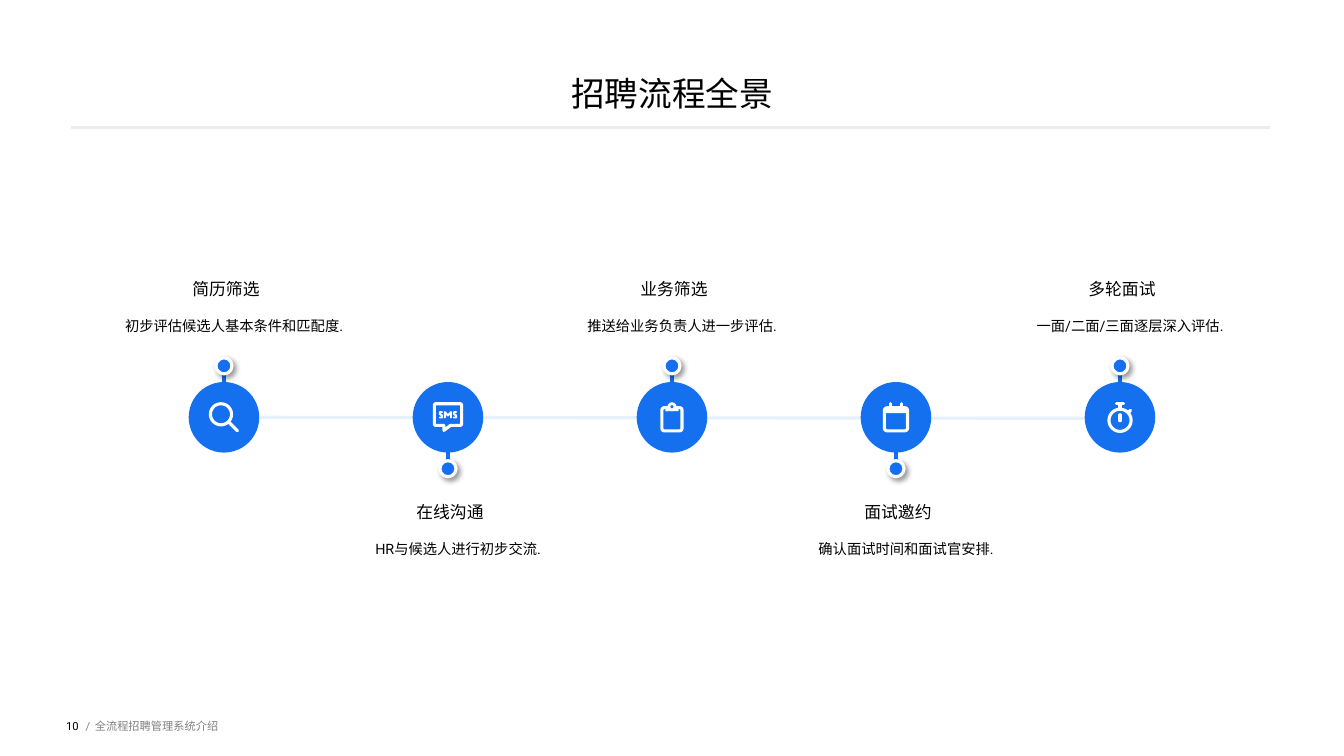
from dataclasses import dataclass

from lxml import etree
from pptx import Presentation
from pptx import util as u
from pptx.dml import color
from pptx.enum import shapes, text
from pptx.oxml import ns


@dataclass(frozen=True)
class Theme:
    font: str = "Roboto"
    blue: str = "1570EF"
    pale: str = "D0E2FC"
    rule: str = "EAECF0"
    ink: str = "000000"
    grey: str = "808080"
    white: str = "FFFFFF"
    title: float = 24
    heading: float = 12
    detail: float = 10.2
    small: float = 8


@dataclass(frozen=True)
class Box:
    left: float
    top: float
    width: float
    height: float


THEME = Theme()
WIDTH, HEIGHT = 13.33, 7.5
MARGIN = 0.7
KIND = shapes.MSO_SHAPE
ANCHOR = text.MSO_ANCHOR
ALIGN = text.PP_ALIGN

STEPS = [
    ("简历筛选", "初步评估候选人基本条件和匹配度."),
    ("在线沟通", "HR与候选人进行初步交流."),
    ("业务筛选", "推送给业务负责人进一步评估."),
    ("面试邀约", "确认面试时间和面试官安排."),
    ("多轮面试", "一面/二面/三面逐层深入评估."),
]


def rgb(value):
    return color.RGBColor.from_string(value)


def add_child(parent, tag, **attributes):
    return etree.SubElement(parent, ns.qn(tag), attributes)


def outline(shape, tint, points):
    shape.line.color.rgb = rgb(tint)
    shape.line.width = u.Pt(points)


def draw_line(page, start, end, tint, points):
    line = page.shapes.add_connector(
        shapes.MSO_CONNECTOR.STRAIGHT, *(u.Inches(n) for n in (*start, *end)))
    outline(line, tint, points)
    add_child(line._element.spPr, "a:effectLst")
    return line


def draw_shape(page, kind, box, fill=None, line=None, points=2.2):
    shape = page.shapes.add_shape(
        kind, *(u.Inches(n) for n in (box.left, box.top, box.width, box.height)))
    shape.shadow.inherit = False
    if fill:
        shape.fill.solid()
        shape.fill.fore_color.rgb = rgb(fill)
    else:
        shape.fill.background()
    if line:
        outline(shape, line, points)
    else:
        shape.line.fill.background()
    return shape


def prepare_frame(shape, anchor):
    frame = shape.text_frame
    frame.word_wrap = True
    frame.vertical_anchor = anchor
    frame.margin_left = frame.margin_right = frame.margin_top = frame.margin_bottom = 0
    return frame


def add_text(page, box, anchor):
    shape = page.shapes.add_textbox(
        *(u.Inches(n) for n in (box.left, box.top, box.width, box.height)))
    return prepare_frame(shape, anchor)


def write(para, words, size, tint, align):
    para.alignment = align
    span = para.add_run()
    span.text = words
    span.font.name = THEME.font
    span.font.size = u.Pt(size)
    span.font.color.rgb = rgb(tint)


class Icon:
    def __init__(self, page, x, y):
        self.page, self.x, self.y = page, x, y

    def place(self, x, y):
        return self.x + x / 100, self.y + y / 100

    def stroke(self, *points, closed=False, weight=2.2):
        (first, *rest) = [tuple(u.Inches(n) for n in self.place(*p)) for p in points]
        builder = self.page.shapes.build_freeform(*first)
        builder.add_line_segments(rest, close=closed)
        shape = builder.convert_to_shape()
        shape.shadow.inherit = False
        shape.fill.background()
        outline(shape, THEME.white, weight)
        edge = shape.line._get_or_add_ln()
        edge.set("cap", "rnd")
        add_child(edge, "a:round")

    def ring(self, x, y, radius, fill=None, line=THEME.white):
        left, top = self.place(x - radius, y - radius)
        draw_shape(self.page, KIND.OVAL, Box(left, top, radius / 50, radius / 50), fill, line)

    def panel(self, left, top, right, bottom, fill=None, line=THEME.white):
        box = Box(*self.place(left, top), (right - left) / 100, (bottom - top) / 100)
        shape = draw_shape(self.page, KIND.ROUNDED_RECTANGLE, box, fill, line)
        shape.adjustments[0] = 0.12


def search_icon(icon):
    icon.ring(-3, -3, 10.5)
    icon.stroke((5, 5), (13.5, 13.5))


def message_icon(icon):
    icon.stroke((-13.5, -12.5), (-12.5, -13.5), (12.5, -13.5), (13.5, -12.5), (13.5, 7),
                (12.5, 8), (2.5, 8), (-4, 13), (-4, 8), (-12.5, 8), (-13.5, 7), closed=True)
    letter_s = [(1.1, -5.2), (-1.1, -5.2), (-1.1, -3.3), (1.1, -1.8), (1.1, 0.2), (-1.1, 0.2)]
    for centre in (-7, 7):
        icon.stroke(*((centre + x, y) for x, y in letter_s), weight=1.4)
    icon.stroke((-3, 0.2), (-3, -5.2), (0, -1.8), (3, -5.2), (3, 0.2), weight=1.4)


def clipboard_icon(icon):
    icon.panel(-10, -9.5, 10, 13.5)
    icon.panel(-6.5, -11, 6.5, -6, THEME.white, None)
    icon.ring(0, -10.5, 4.5, THEME.white, None)
    icon.ring(0, -10.5, 1.5, THEME.blue, None)


def calendar_icon(icon):
    icon.panel(-11.5, -9.5, 11.5, 13.5)
    icon.panel(-11.5, -9.5, 11.5, -4, THEME.white, None)
    for x in (-5.5, 5.5):
        icon.stroke((x, -13.5), (x, -9))


def stopwatch_icon(icon):
    icon.ring(0, 3, 11)
    icon.stroke((-3.5, -13.5), (3.5, -13.5))
    icon.stroke((0, -13.5), (0, -9))
    icon.stroke((0, -2.5), (0, 3.5))
    icon.stroke((8.5, -5), (10.5, -7))


ICONS = [search_icon, message_icon, clipboard_icon, calendar_icon, stopwatch_icon]


def add_dot_shadow(dot):
    effects = dot._element.spPr.find(ns.qn("a:effectLst"))
    shadow = add_child(effects, "a:outerShdw", blurRad="48260", dist="38100",
                       dir="2700000", algn="tl", rotWithShape="0")
    tint = add_child(shadow, "a:srgbClr", val=THEME.ink)
    add_child(tint, "a:alpha", val="40000")


def add_title(page, box):
    title = page.shapes.title
    title.left, title.top = u.Inches(box.left), u.Inches(box.top)
    title.width, title.height = u.Inches(box.width), u.Inches(box.height)
    frame = prepare_frame(title, ANCHOR.BOTTOM)
    write(frame.paragraphs[0], "招聘流程全景", THEME.title, THEME.ink, ALIGN.CENTER)
    y = box.top + box.height + 0.14
    draw_line(page, (box.left, y), (box.left + 11.9, y), THEME.rule, 2)


def add_step(page, box, step, above, draw_icon):
    x, y = box.left + box.width / 2, box.top + box.height / 2
    side = -1 if above else 1
    draw_line(page, (x, y + side * 0.3), (x, y + side * 0.59), THEME.blue, 2.25)
    draw_shape(page, KIND.OVAL, Box(x - 0.35, y - 0.35, 0.7, 0.7), THEME.blue)
    dot = draw_shape(page, KIND.OVAL, Box(x - 0.08, y + side * 0.51 - 0.08, 0.16, 0.16),
                     THEME.blue, THEME.white, 2.25)
    add_dot_shadow(dot)
    draw_icon(Icon(page, x, y))
    depth = 1.61
    top = box.top if above else box.top + box.height - depth
    frame = add_text(page, Box(x - 1.28, top, 2.6, depth), ANCHOR.BOTTOM if above else ANCHOR.TOP)
    heading, detail = frame.paragraphs[0], frame.add_paragraph()
    heading.line_spacing = detail.line_spacing = 1.1
    detail.space_before = u.Pt(12)
    detail._p.get_or_add_pPr().set("marL", str(u.Inches(0.16)))
    write(heading, step[0], THEME.heading, THEME.ink, ALIGN.CENTER)
    write(detail, step[1], THEME.detail, THEME.ink, ALIGN.CENTER)


def add_timeline(page, box):
    column = box.width / len(STEPS)
    y = box.top + box.height / 2
    ends = (box.left + column / 2 + 0.35, box.left + box.width - column / 2 - 0.35)
    axis = draw_line(page, (ends[0], y), (ends[1], y + 0.01), THEME.pale, 2.25)
    tint = axis._element.spPr.find(".//" + ns.qn("a:srgbClr"))
    add_child(tint, "a:alpha", val="50000")
    for index, (step, draw_icon) in enumerate(zip(STEPS, ICONS)):
        cell = Box(box.left + index * column, box.top, column, box.height)
        add_step(page, cell, step, index % 2 == 0, draw_icon)


def add_footer(page, box):
    parts = [
        (0, 0.31, "10", THEME.ink, ALIGN.RIGHT),
        (0.38, 0.09, "/", THEME.grey, ALIGN.LEFT),
        (0.47, box.width - 0.47, "全流程招聘管理系统介绍", THEME.grey, ALIGN.LEFT),
    ]
    for offset, width, words, tint, align in parts:
        frame = add_text(page, Box(box.left + offset, box.top, width, box.height), ANCHOR.MIDDLE)
        write(frame.paragraphs[0], words, THEME.small, tint, align)


def main():
    deck = Presentation()
    deck.slide_width, deck.slide_height = u.Inches(WIDTH), u.Inches(HEIGHT)
    page = deck.slides.add_slide(deck.slide_layouts[5])
    add_title(page, Box(MARGIN, 0, WIDTH - 2 * MARGIN, HEIGHT * 0.15))
    add_timeline(page, Box(WIDTH / 12, 1.71, WIDTH * 10 / 12, 4.86))
    add_footer(page, Box(0.47, HEIGHT * 0.92, 9.08, HEIGHT * 0.08))
    deck.save("out.pptx")


if __name__ == "__main__":
    main()
